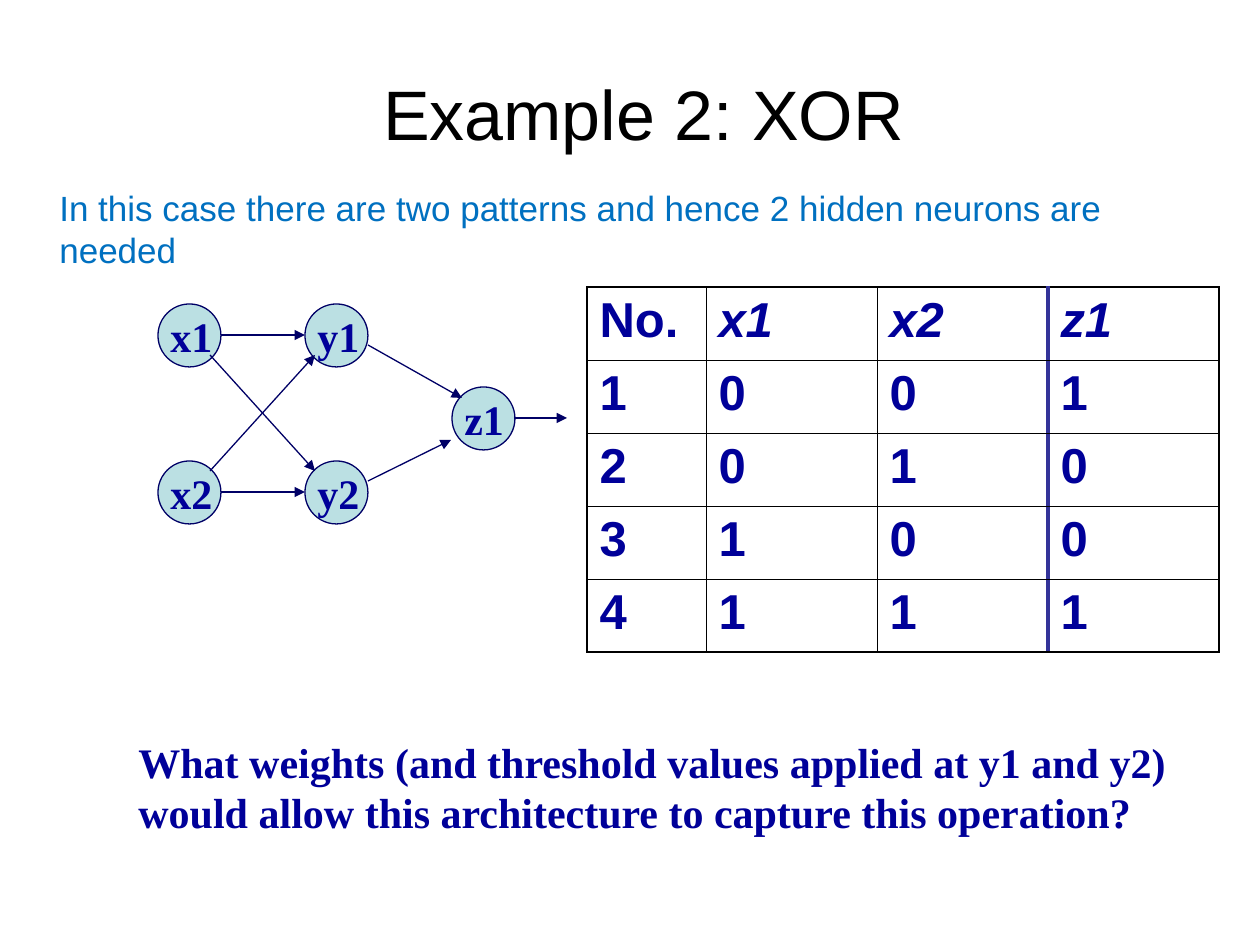
from lxml import etree
from pptx import Presentation
from pptx import util as u
from pptx.dml.color import RGBColor
from pptx.enum import shapes, text
from pptx.oxml.ns import qn

PX_PER_INCH = 126
COLORS = {
    "title": "000000",
    "note": "0070C0",
    "ink": "000099",
    "node": "BBE0E3",
    "edge": "000066",
    "grid": "000000",
    "divider": "333399",
}
NODE_SIZE = 63
NODES = {"x1": (0, 0), "x2": (0, 157), "y1": (147, 0), "y2": (147, 157), "z1": (294, 83)}
EDGES = [
    ((63, 31), (147, 31)),
    ((52, 51), (157, 167)),
    ((52, 167), (157, 51)),
    ((210, 41), (304, 94)),
    ((210, 177), (293, 136)),
    ((63, 188), (147, 188)),
    ((356, 114), (409, 114)),
]
TRUTH_TABLE = [
    ["No.", "x1", "x2", "z1"],
    ["1", "0", "0", "1"],
    ["2", "0", "1", "0"],
    ["3", "1", "0", "0"],
    ["4", "1", "1", "1"],
]
FIRST_COLUMN, OTHER_COLUMN, ROW_HEIGHT = 119, 171, 73
THIN, OUTER, THICK = 0.45, 1.08, 3


def px(count):
    return u.Inches(count / PX_PER_INCH)


def color(name):
    return RGBColor.from_string(COLORS[name])


def style(para, face, size, ink, bold=False):
    font = para.font
    font.name, font.size, font.bold = face, u.Pt(size), bold
    font.color.rgb = color(ink)


def add_text(page, area, words, face, size, ink, bold=False, wrap=True):
    box = page.shapes.add_textbox(*map(px, area))
    frame = box.text_frame
    frame.word_wrap = wrap
    frame.text = words
    style(frame.paragraphs[0], face, size, ink, bold)


def add_title(page, area, words):
    title = page.shapes.title
    title.left, title.top, title.width, title.height = map(px, area)
    frame = title.text_frame
    frame.text = words
    frame.vertical_anchor = text.MSO_ANCHOR.MIDDLE
    para = frame.paragraphs[0]
    para.alignment = text.PP_ALIGN.CENTER
    style(para, "Arial", 40, "title")


def add_arrow(page, start, end):
    arrow = page.shapes.add_connector(
        shapes.MSO_CONNECTOR.STRAIGHT, *map(px, start + end))
    arrow.line.color.rgb = color("edge")
    arrow.line.width = u.Pt(0.75)
    line = arrow.line._get_or_add_ln()
    etree.SubElement(line, qn("a:tailEnd"), type="triangle")
    etree.SubElement(arrow._element.spPr, qn("a:effectLst"))


def add_network(page, left, top):
    for x, y in NODES.values():
        node = page.shapes.add_shape(
            shapes.MSO_SHAPE.OVAL, px(left + x), px(top + y), px(NODE_SIZE), px(NODE_SIZE))
        node.shadow.inherit = False
        node.fill.solid()
        node.fill.fore_color.rgb = color("node")
        node.line.color.rgb = color("edge")
        node.line.width = u.Pt(0.75)
    for (x1, y1), (x2, y2) in EDGES:
        add_arrow(page, (left + x1, top + y1), (left + x2, top + y2))
    for label, (x, y) in NODES.items():
        add_text(page, (left + x, top + y, 73, NODE_SIZE), label,
                 "Times New Roman", 24, "ink", bold=True)


def set_borders(cell, borders):
    properties = cell._tc.get_or_add_tcPr()
    for place, side in enumerate("LRTB"):
        width, ink = borders[side]
        line = etree.Element(qn(f"a:ln{side}"), w=str(int(u.Pt(width))))
        fill = etree.SubElement(line, qn("a:solidFill"))
        etree.SubElement(fill, qn("a:srgbClr"), val=COLORS[ink])
        properties.insert(place, line)


def add_truth_table(page, left, top):
    rows, columns = len(TRUTH_TABLE), len(TRUTH_TABLE[0])
    widths = [FIRST_COLUMN] + [OTHER_COLUMN] * (columns - 1)
    table = page.shapes.add_table(
        rows, columns, px(left), px(top), px(sum(widths)), px(rows * ROW_HEIGHT)).table
    table.first_row = table.horz_banding = False
    for column, width in zip(table.columns, widths):
        column.width = px(width)
    thin, outer, divider = (THIN, "grid"), (OUTER, "grid"), (THICK, "divider")
    verticals = [outer] + [thin] * (columns - 2) + [divider, outer]
    horizontals = [outer] + [thin] * (rows - 1) + [outer]
    for r, values in enumerate(TRUTH_TABLE):
        table.rows[r].height = px(ROW_HEIGHT)
        for c, value in enumerate(values):
            cell = table.cell(r, c)
            cell.fill.background()
            cell.text = value
            para = cell.text_frame.paragraphs[0]
            style(para, "Arial", 28, "ink", bold=True)
            para.font.italic = r == 0 and c > 0
            set_borders(cell, {
                "L": verticals[c], "R": verticals[c + 1],
                "T": horizontals[r], "B": horizontals[r + 1],
            })


def main():
    deck = Presentation()
    deck.slide_width, deck.slide_height = u.Inches(10), u.Inches(7.5)
    page = deck.slides.add_slide(deck.slide_layouts[5])
    add_title(page, (67, 34, 1153, 158), "Example 2: XOR")
    add_network(page, 158, 304)
    add_truth_table(page, 587, 287)
    add_text(page, (126, 730, 1113, 113),
             "What weights (and threshold values applied at y1 and y2) "
             "would allow this architecture to capture this operation?",
             "Times New Roman", 24, "ink", bold=True)
    add_text(page, (47, 180, 1194, 55),
             "In this case there are two patterns and hence 2 hidden neurons are needed",
             "Arial", 20, "note", wrap=False)
    deck.save("out.pptx")


if __name__ == "__main__":
    main()
